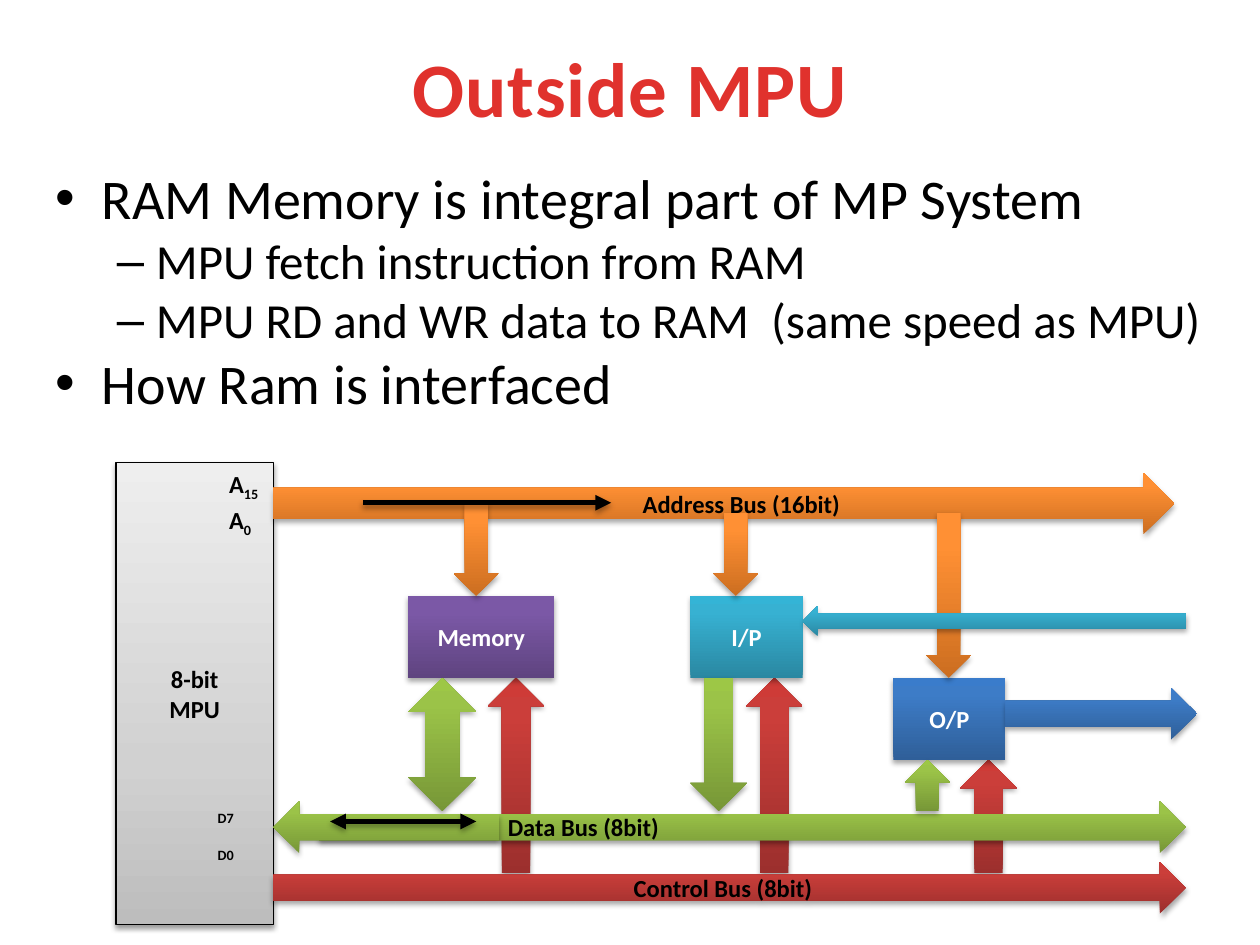
"""Build the slide showing the buses that link an 8-bit MPU to memory and I/O."""
from lxml import etree
from pptx import Presentation
from pptx.dml.color import RGBColor
from pptx.enum.shapes import MSO_CONNECTOR, MSO_SHAPE
from pptx.enum.text import MSO_ANCHOR, PP_ALIGN
from pptx.oxml import parse_xml
from pptx.oxml.ns import nsdecls, qn
from pptx.util import Inches, Pt

RECT, UP, DOWN = MSO_SHAPE.RECTANGLE, MSO_SHAPE.UP_ARROW, MSO_SHAPE.DOWN_ARROW
LEFT, RIGHT, UP_DOWN = MSO_SHAPE.LEFT_ARROW, MSO_SHAPE.RIGHT_ARROW, MSO_SHAPE.UP_DOWN_ARROW
START, CENTER = PP_ALIGN.LEFT, PP_ALIGN.CENTER
TOP, MIDDLE = MSO_ANCHOR.TOP, MSO_ANCHOR.MIDDLE
FONT, BLACK, WHITE = "Calibri", "000000", "FFFFFF"

GRADIENTS = {
    "red": [(0, "9C2F2D"), (80, "CB3E3A"), (100, "CE3B37")],
    "orange": [(0, "CC6E20"), (80, "FF9034"), (100, "FF9136")],
    "green": [(0, "779737"), (80, "9BC348"), (100, "9DC746")],
    "purple": [(0, "5F4480"), (80, "7B58A6"), (100, "7C57A8")],
    "teal": [(0, "2A88A2"), (80, "37B1D2"), (100, "34B4D6")],
    "blue": [(0, "2F5F99"), (80, "3D7CC7"), (100, "3A7CCB")],
    "gray": [(0, "BDBDBD"), (35, "D1D1D1"), (100, "EEEEEE")],
}

TITLE = "Outside MPU"
BULLETS = [
    (0, "RAM Memory is integral part of MP System"),
    (1, "MPU fetch instruction from RAM"),
    (1, "MPU RD and WR data to RAM  (same speed as MPU)"),
    (0, "How Ram is interfaced"),
]
LEVELS = [("•", 32, 0.38, -0.37), ("–", 28, 0.81, -0.31)]
PINS = [
    (1.72, 3.67, "A", "15"),
    (1.72, 3.96, "A", "0"),
    (1.63, 6.54, "", "D0"),
    (1.63, 6.24, "", "D7"),
]

MPU_LABEL = ["8-bit", "MPU"]
MPU = (0.92, 3.67, 1.25, 3.67)
MPU_RIGHT = MPU[0] + MPU[2]
BUS_END, BUS_HEIGHT, DATA_TOP = 9.41, 0.41, 6.36
UNIT_HEIGHT, DATA_TAP_END, CONTROL_TAP_END = 0.65, 6.44, 6.93
UNITS = {
    "Memory": ("purple", 3.24, 4.73, 1.16),
    "I/P": ("teal", 5.48, 4.73, 0.89),
    "O/P": ("blue", 7.09, 5.38, 0.89),
}
CONTROL_TAPS = [("Memory", 3.87), ("I/P", 5.92), ("O/P", 7.62)]
ADDRESS_TAPS = [("Memory", 3.6, 3.99), ("I/P", 5.66, 4.07), ("O/P", 7.35, 4.07)]
DATA_TAPS = [("Memory", UP_DOWN, 0.54, 3.24), ("I/P", DOWN, 0.45, 5.48), ("O/P", UP, 0.36, 7.18)]
FLOWS = [(2.88, 4.85, 3.99, ("tailEnd",)), (2.62, 3.78, 6.52, ("headEnd", "tailEnd"))]


def color(value):
    return RGBColor.from_string(value)


def add_shadow(shape, opacity=35):
    shape._element.spPr.append(parse_xml(
        f'<a:effectLst {nsdecls("a")}><a:outerShdw blurRad="{Pt(3.1)}" dist="{Pt(1.8)}" '
        f'dir="5400000" rotWithShape="0"><a:srgbClr val="{BLACK}">'
        f'<a:alpha val="{opacity * 1000}"/></a:srgbClr></a:outerShdw></a:effectLst>'))


def fill_gradient(shape, name):
    stops = "".join(f'<a:gs pos="{pos * 1000}"><a:srgbClr val="{value}"/></a:gs>'
                    for pos, value in GRADIENTS[name])
    shape._element.spPr.append(parse_xml(
        f'<a:gradFill {nsdecls("a")} rotWithShape="1"><a:gsLst>{stops}</a:gsLst>'
        '<a:lin ang="16200000" scaled="0"/></a:gradFill>'))


def add_run(paragraph, text, size=14, ink=BLACK, bold=True, **extra):
    run = paragraph.add_run()
    run.text = text
    run.font.name, run.font.size, run.font.bold = FONT, Pt(size), bold
    run.font.color.rgb = color(ink)
    for key, value in extra.items():
        run._r.get_or_add_rPr().set(key, str(value))


def prepare(frame, align=CENTER, anchor=MIDDLE):
    frame.word_wrap = True
    frame.vertical_anchor = anchor
    frame.paragraphs[0].alignment = align
    return frame.paragraphs[0]


def add_block(slide, kind, gradient, box, lines=(), ink=BLACK, align=CENTER,
              inset=0.1, outline=None, opacity=35):
    block = slide.shapes.add_shape(kind, *map(Inches, box))
    fill_gradient(block, gradient)
    if outline:
        block.line.color.rgb = color(outline)
        block.line.width = Pt(0.75)
    else:
        block.line.fill.background()
    add_shadow(block, opacity)
    paragraph = prepare(block.text_frame, align)
    block.text_frame.margin_left = Inches(inset)
    for index, line in enumerate(lines):
        if index:
            paragraph = block.text_frame.add_paragraph()
            paragraph.alignment = align
        add_run(paragraph, line, ink=ink)


def add_text(slide, box, align=START, anchor=TOP):
    frame = slide.shapes.add_textbox(*map(Inches, box)).text_frame
    return frame, prepare(frame, align, anchor)


def add_bullets(slide):
    frame, paragraph = add_text(slide, (0.33, 1.25, 9.67, 5.83))
    for index, (level, text) in enumerate(BULLETS):
        if index:
            paragraph = frame.add_paragraph()
        mark, size, margin, indent = LEVELS[level]
        paragraph.level = level
        props = paragraph._p.get_or_add_pPr()
        props.set("marL", str(Inches(margin)))
        props.set("indent", str(Inches(indent)))
        etree.SubElement(props, qn("a:buFont")).set("typeface", "Arial")
        etree.SubElement(props, qn("a:buChar")).set("char", mark)
        add_run(paragraph, text, size, bold=False)


def add_flow(slide, start, end, y, heads):
    flow = slide.shapes.add_connector(
        MSO_CONNECTOR.STRAIGHT, Inches(start), Inches(y), Inches(end), Inches(y))
    flow.line.color.rgb = color(BLACK)
    flow.line.width = Pt(3)
    for head in heads:
        etree.SubElement(flow.line._get_or_add_ln(), qn(f"a:{head}")).set("type", "triangle")
    add_shadow(flow)


def main():
    deck = Presentation()
    deck.slide_width, deck.slide_height = Inches(10), Inches(7.5)
    slide = deck.slides.add_slide(deck.slide_layouts[6])

    _, title = add_text(slide, (0.5, 0.25, 9, 0.88), CENTER, MIDDLE)
    add_run(title, TITLE, 44, "E0322D", spc=50)
    add_bullets(slide)

    unit_top = {name: unit[2] for name, unit in UNITS.items()}
    unit_bottom = {name: top + UNIT_HEIGHT for name, top in unit_top.items()}
    for name, left in CONTROL_TAPS:
        top = unit_bottom[name]
        add_block(slide, UP, "red", (left, top, 0.45, CONTROL_TAP_END - top))

    add_block(slide, RECT, "gray", MPU, MPU_LABEL, outline=BLACK, opacity=38)
    for left, top, letter, subscript in PINS:
        _, pin = add_text(slide, (left, top, 0.63, 0.36))
        if letter:
            add_run(pin, letter)
        add_run(pin, subscript, baseline=-25000)

    add_block(slide, RIGHT, "orange", (MPU_RIGHT, 3.75, 7.15, 0.49),
              ["Address Bus (16bit)"], inset=0.5)
    add_block(slide, RIGHT, "green", (2.53, DATA_TOP, BUS_END - 2.53, BUS_HEIGHT),
              ["Data Bus (8bit)"], align=START, inset=1.5)
    for name, (gradient, left, top, width) in UNITS.items():
        add_block(slide, RECT, gradient, (left, top, width, UNIT_HEIGHT), [name], WHITE)
    for name, left, top in ADDRESS_TAPS:
        add_block(slide, DOWN, "orange", (left, top, 0.36, unit_top[name] - top))
    add_block(slide, RIGHT, "blue", (7.98, 5.46, 1.52, BUS_HEIGHT))
    add_block(slide, RIGHT, "red", (MPU_RIGHT, 6.84, BUS_END - MPU_RIGHT, BUS_HEIGHT),
              ["Control Bus (8bit)"])
    for name, kind, width, left in DATA_TAPS:
        top = unit_bottom[name]
        add_block(slide, kind, "green", (left, top, width, DATA_TAP_END - top))
    add_block(slide, LEFT, "green", (MPU_RIGHT, DATA_TOP, 1.79, BUS_HEIGHT))
    add_block(slide, LEFT, "teal", (6.37, 4.81, BUS_END - 6.37, 0.24))
    for flow in FLOWS:
        add_flow(slide, *flow)

    deck.save("out.pptx")


if __name__ == "__main__":
    main()
